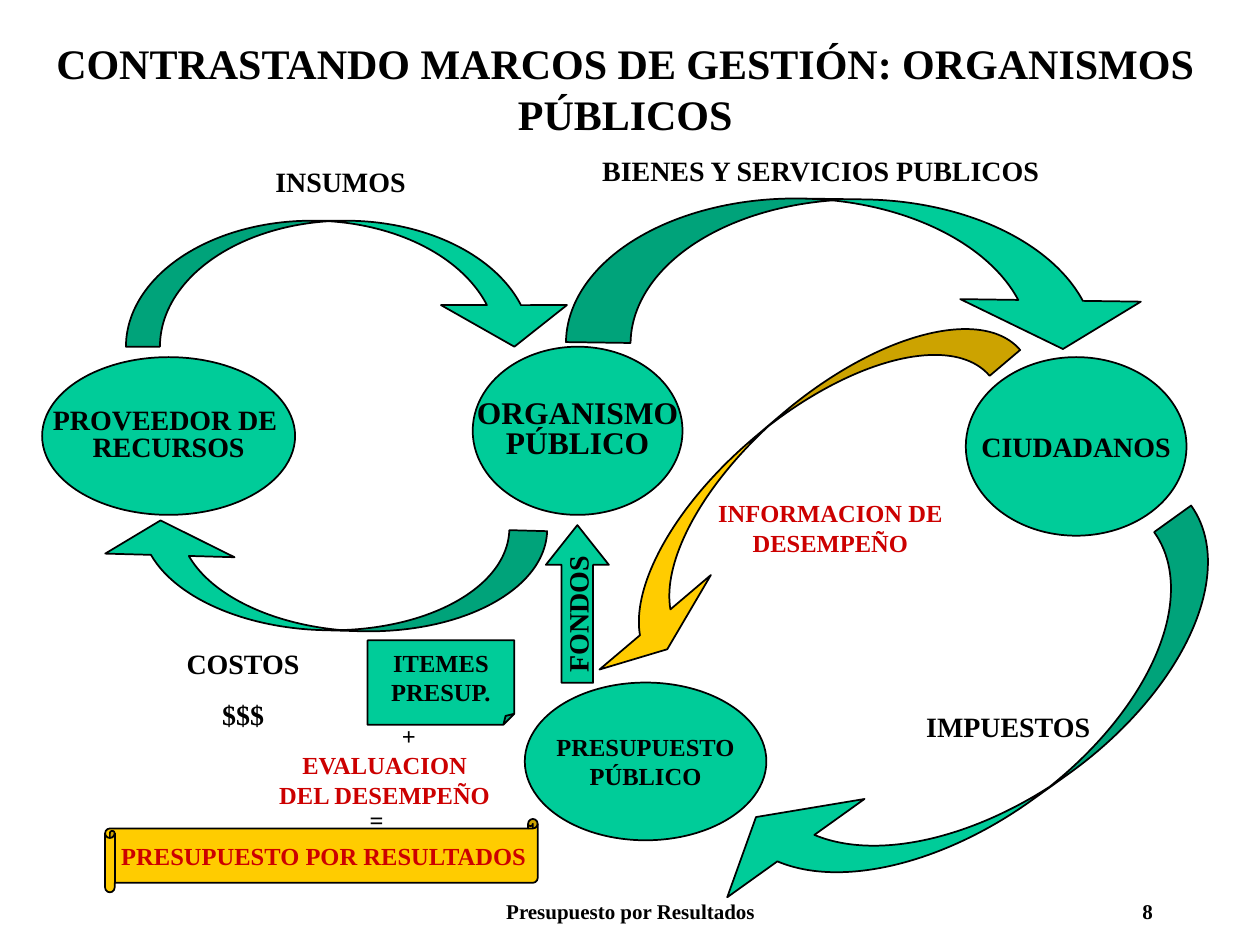
from dataclasses import dataclass

from pptx import Presentation
from pptx import util as u
from pptx.dml.color import RGBColor
from pptx.enum import shapes, text


@dataclass(frozen=True)
class Theme:
    font: str = "Times New Roman"
    ink: RGBColor = RGBColor(0, 0, 0)
    red: RGBColor = RGBColor(0xCC, 0, 0)
    green: RGBColor = RGBColor(0, 0xCC, 0x99)
    gold: RGBColor = RGBColor(0xFF, 0xCC, 0)
    title: int = 24
    large: int = 18
    body: int = 16
    small: int = 14
    foot: int = 12


def write(item, lines, size, color, space=1.0, before=0, wrap=False,
          anchor=text.MSO_ANCHOR.MIDDLE, align=text.PP_ALIGN.CENTER):
    frame = item.text_frame
    frame.word_wrap = wrap
    frame.vertical_anchor = anchor
    frame.text = lines
    for para in frame.paragraphs:
        para.alignment = align
        para.line_spacing = space
        para.space_before = u.Pt(before)
        para.font.name = theme.font
        para.font.size = u.Pt(size)
        para.font.bold = True
        para.font.color.rgb = color


def draw(kind, box, fill, turn=0, adjust=()):
    item = slide.shapes.add_shape(kind, *map(u.Cm, box))
    item.shadow.inherit = False
    item.fill.solid()
    item.fill.fore_color.rgb = fill
    item.line.color.rgb = theme.ink
    item.line.width = u.Pt(1)
    item.rotation = turn
    names = ["adj"] if len(adjust) == 1 else ["adj1", "adj2", "adj3"]
    guides = [(name, round(value * 100000)) for name, value in zip(names, adjust)]
    item.element.spPr.prstGeom.rewrite_guides(guides)
    return item


theme = Theme()
kinds = shapes.MSO_SHAPE
deck = Presentation()
deck.slide_width, deck.slide_height = u.Cm(25.4), u.Cm(19.05)
slide = deck.slides.add_slide(deck.slide_layouts[6])

down, up = kinds.CURVED_DOWN_ARROW, kinds.CURVED_UP_ARROW
arrows = [
    (up, (10.36, 8.68, 10.8, 2.12), theme.gold, 139.7, (0.38, 1.39, 0.27)),
    (down, (11.43, 4.02, 11.84, 2.96), theme.green, 0.8, (0.44, 1.23, 0.33)),
    (down, (2.54, 4.45, 9.1, 2.54), theme.green, 0, (0.27, 1, 0.33)),
    (down, (1.9, 10.58, 9.1, 2.12), theme.green, 181.6, (0.36, 1.23, 0.33)),
    (down, (13.55, 13.55, 12.49, 2.96), theme.green, 144.4, (0.31, 1.15, 0.33)),
]
for arrow in arrows:
    draw(*arrow)

nodes = [
    ("ORGANISMO\nPÚBLICO", (9.53, 6.99, 4.23, 3.39), theme.large, 0.8),
    ("CIUDADANOS", (19.47, 7.2, 4.45, 3.6), theme.body, 1.0),
    ("PROVEEDOR DE \nRECURSOS", (0.85, 7.2, 5.1, 3.18), theme.body, 0.8),
    ("PRESUPUESTO\nPÚBLICO", (10.58, 13.76, 4.87, 3.18), theme.small, 1.0),
]
for words, box, size, space in nodes:
    write(draw(kinds.OVAL, box, theme.green), words, size, theme.ink, space)

funds = draw(kinds.RIGHT_ARROW, (10.05, 11.54, 3.18, 1.27), theme.green, 270, (0.5, 0.63))
write(funds, "FONDOS", theme.body, theme.ink)
note = draw(kinds.FOLDED_CORNER, (7.41, 12.91, 2.96, 1.7), theme.green, 0, (0.13,))
write(note, "ITEMES\nPRESUP.", theme.small, theme.ink)
scroll = draw(kinds.HORIZONTAL_SCROLL, (2.12, 16.51, 8.72, 1.48), theme.gold, 0, (0.13,))
write(scroll, "PRESUPUESTO POR RESULTADOS", theme.small, theme.red)

labels = [
    ("INSUMOS", (5.3, 3.18, 3.13, 0.94), theme.body, theme.ink, 1.0, 10, False),
    ("BIENES Y SERVICIOS PUBLICOS", (11.86, 2.97, 9.37, 0.94), theme.body, theme.ink, 1.0, 10, False),
    ("COSTOS\n$$$", (3.39, 12.91, 3.02, 1.96), theme.body, theme.ink, 1.0, 10, True),
    ("IMPUESTOS", (18.42, 14.18, 3.81, 0.94), theme.body, theme.ink, 1.0, 10, False),
    ("+", (7.85, 14.4, 0.79, 0.86), theme.small, theme.ink, 1.0, 8.8, False),
    ("EVALUACION\nDEL DESEMPEÑO", (5.29, 15.24, 4.93, 1.17), theme.small, theme.red, 0.5, 8.8, True),
    ("=", (7.2, 16.09, 0.79, 0.86), theme.small, theme.ink, 1.0, 8.8, True),
    ("INFORMACION DE\nDESEMPEÑO", (13.97, 10.16, 5.54, 1.17), theme.small, theme.red, 0.5, 8.8, True),
]
for words, box, *style in labels:
    label = slide.shapes.add_textbox(*map(u.Cm, box))
    write(label, words, *style)
    label.text_frame.auto_size = text.MSO_AUTO_SIZE.SHAPE_TO_FIT_TEXT

heads = [
    ("CONTRASTANDO MARCOS DE GESTIÓN: ORGANISMOS PÚBLICOS",
     (0.64, 0.64, 23.93, 2.29), theme.title, 15, text.PP_ALIGN.CENTER),
    ("Presupuesto por Resultados",
     (8.69, 17.98, 8.05, 0.64), theme.foot, 0, text.PP_ALIGN.CENTER),
    ("8", (18.21, 17.98, 5.28, 0.64), theme.foot, 0, text.PP_ALIGN.RIGHT),
]
for words, box, size, before, align in heads:
    head = slide.shapes.add_textbox(*map(u.Cm, box))
    write(head, words, size, theme.ink, 1.0, before, True, text.MSO_ANCHOR.TOP, align)

deck.save("out.pptx")
